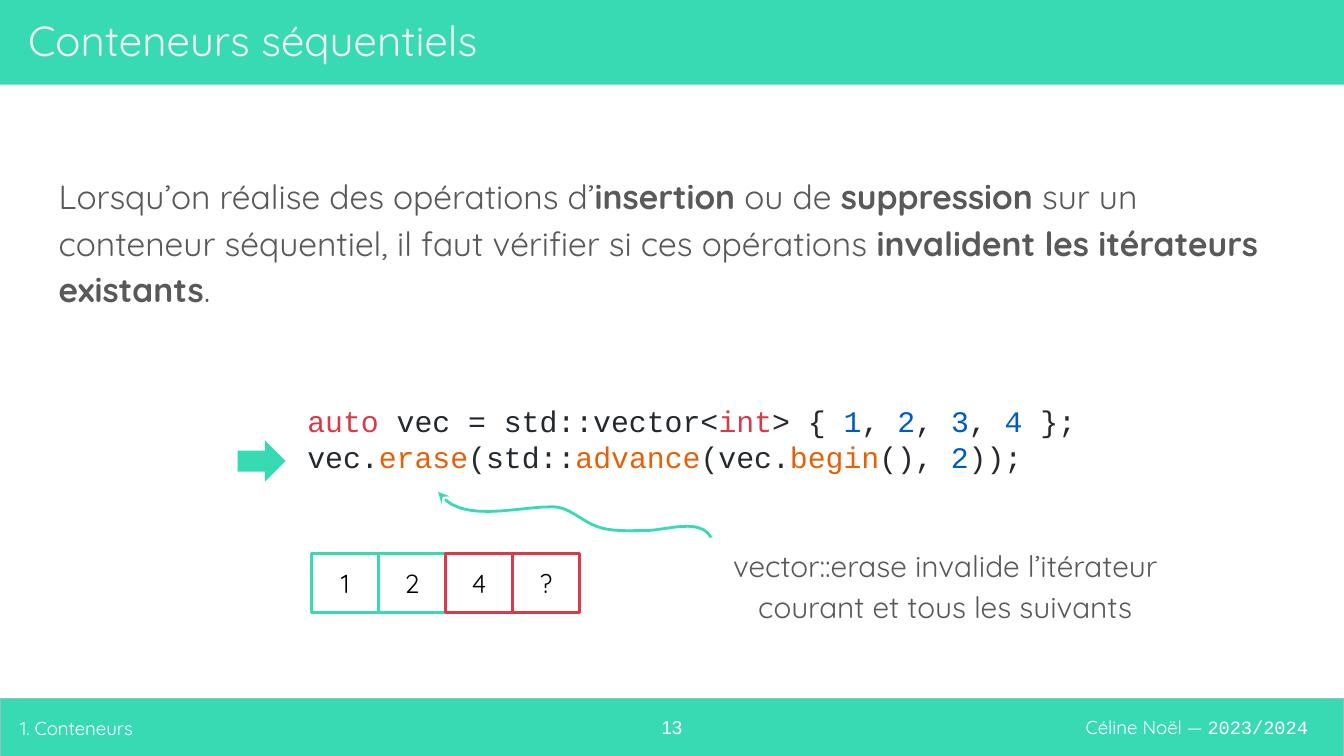
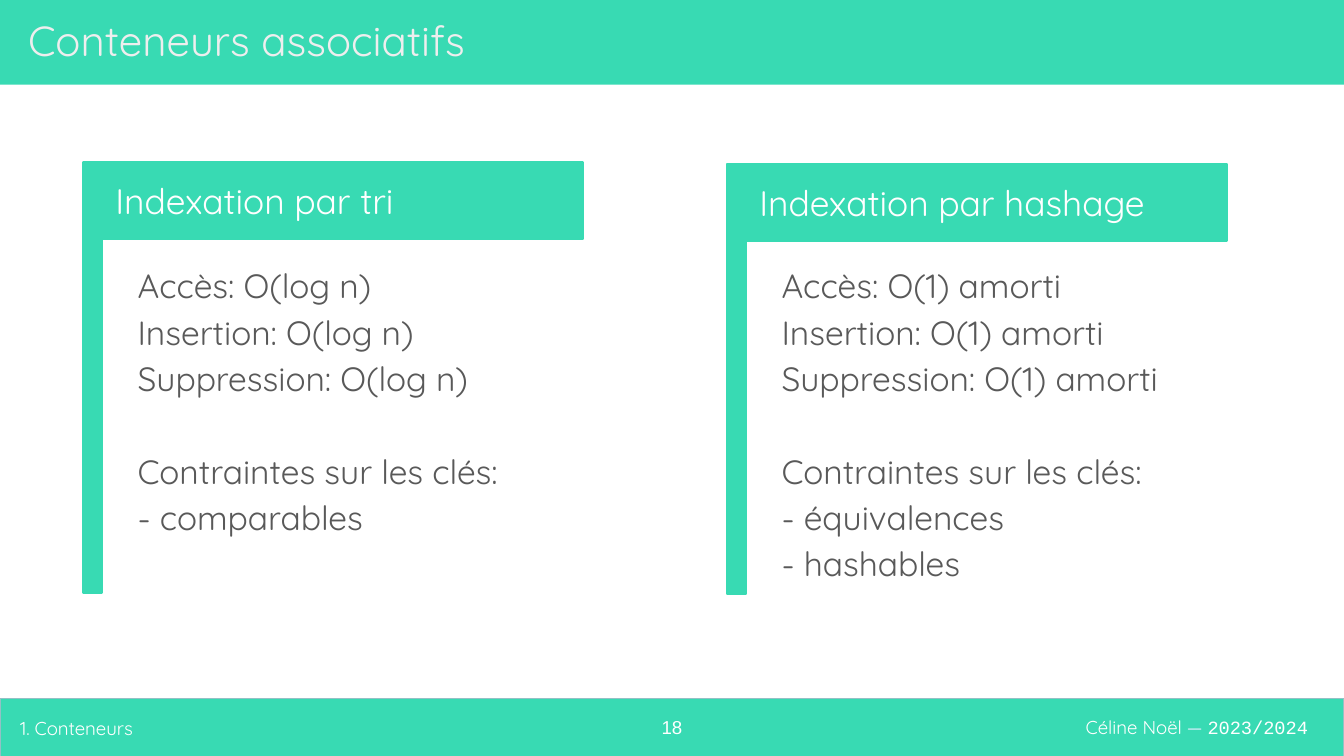
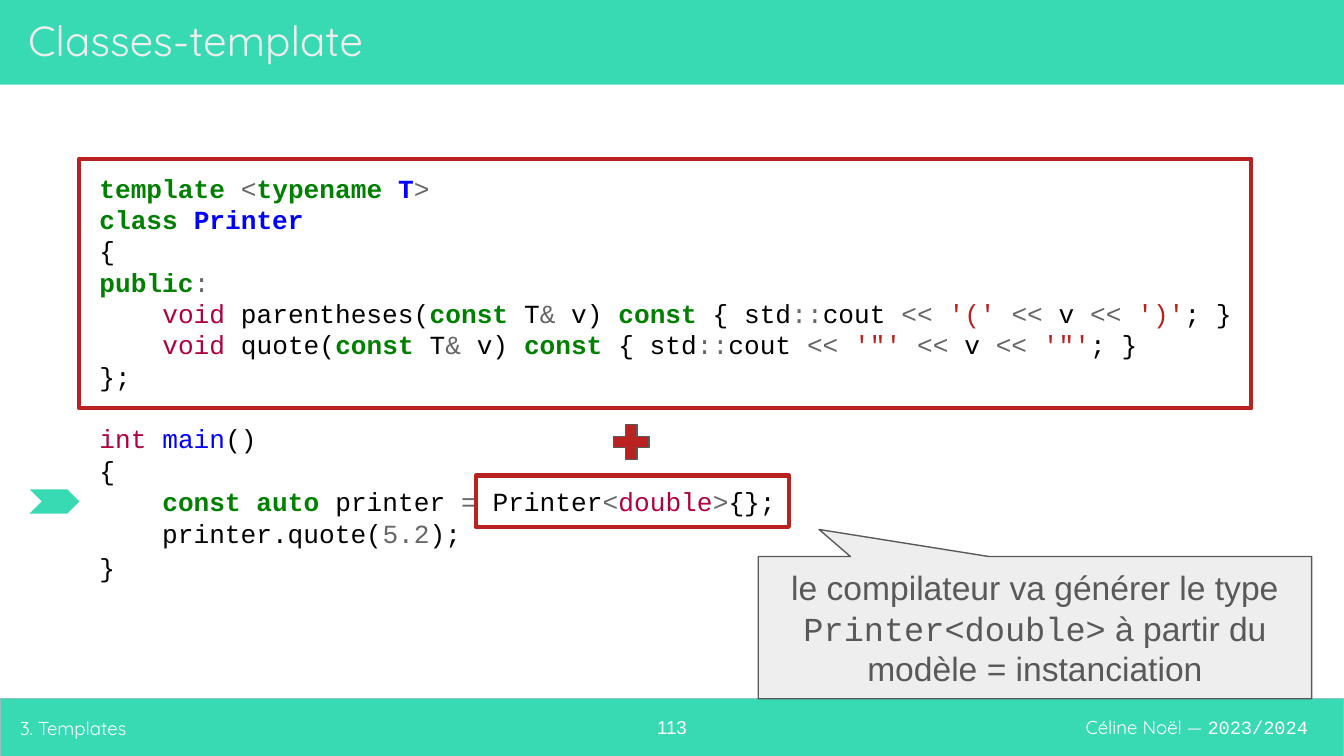
import pptx
import pptx.util
import pptx.dml.color
import pptx.enum.shapes
import pptx.enum.text
import pptx.oxml.ns
from lxml import etree

Cm, Pt = pptx.util.Cm, pptx.util.Pt
RGB = pptx.dml.color.RGBColor.from_string
MSO = pptx.enum.shapes.MSO_SHAPE
ALIGN = pptx.enum.text.PP_ALIGN
ANCHOR = pptx.enum.text.MSO_ANCHOR
qn = pptx.oxml.ns.qn

COLORS = {
    "mint": "38DAB3", "edge": "93C0C5", "white": "FFFFFF", "dash": "E2EEFF",
    "title": "EEEEEE", "text": "595959", "strong": "595959", "black": "000000",
    # code on the first slide
    "code": "24292E", "red": "D73A49", "num": "005CC5", "call": "E36209",
    # code on the last slide
    "keyword": "008000", "class": "0000FF", "func": "0000FF", "op": "666666",
    "type": "B00040", "string": "BA2121",
}
BOLD = {"strong", "keyword", "class"}
SANS, ARIAL, MONO = "Quicksand", "Arial", "Courier New"


def write(tf, paras, size, font=SANS, align=ALIGN.LEFT, anchor=ANCHOR.TOP,
          spacing=1.0, gaps={}):
    """Fill a text frame; a run is (text, colour[, font]), gaps maps paragraph to space before."""
    tf.word_wrap = True
    tf.auto_size = pptx.enum.text.MSO_AUTO_SIZE.NONE
    tf.vertical_anchor = anchor
    tf.margin_left = tf.margin_right = tf.margin_top = tf.margin_bottom = Cm(0.25)
    for i, runs in enumerate(paras):
        p = tf.add_paragraph() if i else tf.paragraphs[0]
        p.alignment = align
        p.line_spacing = spacing
        p.space_before = Pt(gaps.get(i, 0))
        for text, color, *face in runs:
            r = p.add_run()
            r.text = text
            r.font.size = Pt(size)
            r.font.name = face[0] if face else font
            r.font.bold = color in BOLD
            r.font.color.rgb = RGB(COLORS[color])


def shape(s, kind, x, y, w, h, fill=None, line=None, width=1.5):
    sp = s.shapes.add_shape(kind, Cm(x), Cm(y), Cm(w), Cm(h))
    sp.shadow.inherit = False
    if fill:
        sp.fill.solid()
        sp.fill.fore_color.rgb = RGB(COLORS[fill])
    else:
        sp.fill.background()
    if line:
        sp.line.color.rgb = RGB(COLORS[line])
        sp.line.width = Pt(width)
    else:
        sp.line.fill.background()
    return sp


prs = pptx.Presentation()
prs.slide_width, prs.slide_height = Cm(25.4), Cm(14.29)
master = prs.slide_master

# Body text without bullets or indent
lvl = master.element.xpath(".//p:bodyStyle/a:lvl1pPr")[0]
lvl.set("marL", "0")
lvl.set("indent", "0")
lvl.replace(lvl.find(qn("a:buChar")), etree.Element(qn("a:buNone")))

# Titles, section names and page numbers
TWO_CONTENT, TITLE_ONLY = prs.slide_layouts[3], prs.slide_layouts[5]
slides = []
for layout, title, section, number in [
    (TWO_CONTENT, "Conteneurs séquentiels", "1. Conteneurs", "13"),
    (TWO_CONTENT, "Conteneurs associatifs", "1. Conteneurs", "18"),
    (TITLE_ONLY, "Classes-template", "3. Templates", "113"),
]:
    s = prs.slides.add_slide(layout)
    slides.append(s)
    sp = s.shapes.title
    sp.left, sp.top, sp.width, sp.height = Cm(0.28), Cm(0.15), Cm(24.08), Cm(1.22)
    write(sp.text_frame, [[(title, "title")]], 22.5, anchor=ANCHOR.MIDDLE)
    sp = s.shapes.add_textbox(Cm(0.13), Cm(13.21), Cm(11.53), Cm(1.12))
    write(sp.text_frame, [[(section, "white")]], 10, anchor=ANCHOR.MIDDLE)
    sp = s.shapes.add_textbox(Cm(11.94), Cm(13.28), Cm(1.52), Cm(0.91))
    write(sp.text_frame, [[(number, "white")]], 10, ARIAL, ALIGN.CENTER)

# Bands and author, moved to the master
s = slides[0]
footer = shape(s, MSO.RECTANGLE, 0, 13.21, 25.4, 1.12, "mint", "edge", 0.75)
author = s.shapes.add_textbox(Cm(18.24), Cm(13.18), Cm(6.73), Cm(1.12))
write(author.text_frame,
      [[("Céline Noël ", "white"), ("— ", "dash"), ("2023/2024", "white", MONO)]],
      10, align=ALIGN.RIGHT, anchor=ANCHOR.MIDDLE)
header = shape(s, MSO.RECTANGLE, 0, 0, 25.4, 1.6, "mint")
for n, sp in enumerate([footer, author, header], 20):
    sp.element.xpath(".//p:cNvPr")[0].set("id", str(n))
    master.shapes.element.append(sp.element)

# Slide 1: statement and remark
intro, remark = s.placeholders[1], s.placeholders[2]
intro.left, intro.top, intro.width, intro.height = Cm(0.86), Cm(2.97), Cm(23.67), Cm(3.18)
write(intro.text_frame, [[
    ("Lorsqu’on réalise des opérations d’", "text"), ("insertion", "strong"),
    (" ou de ", "text"), ("suppression", "strong"),
    (" sur un conteneur séquentiel, il faut vérifier si ces opérations ", "text"),
    ("invalident les itérateurs existants", "strong"), (".", "text"),
]], 18, spacing=1.15)
remark.left, remark.top, remark.width, remark.height = Cm(12.9), Cm(9.55), Cm(9.93), Cm(2.97)
write(remark.text_frame,
      [[("vector::erase invalide l’itérateur courant et tous les suivants", "text")]],
      16, align=ALIGN.CENTER, anchor=ANCHOR.MIDDLE, spacing=1.15)

# Slide 1: code
sp = s.shapes.add_textbox(Cm(5.56), Cm(7.37), Cm(15.27), Cm(1.88))
write(sp.text_frame, [
    [("auto", "red"), (" vec = std::vector<", "code"), ("int", "red"), ("> { ", "code"),
     ("1", "num"), (", ", "code"), ("2", "num"), (", ", "code"), ("3", "num"),
     (", ", "code"), ("4", "num"), (" };", "code")],
    [("vec.", "code"), ("erase", "call"), ("(std::", "code"), ("advance", "call"),
     ("(vec.", "code"), ("begin", "call"), ("(), ", "code"), ("2", "num"), ("));", "code")],
], 16, MONO, spacing=Pt(19.2))
sp = shape(s, MSO.DOWN_ARROW, 4.55, 8.26, 0.79, 0.91, "mint")
sp.rotation = 270

# Slide 1: vector cells, the invalidated ones in red
for i, (value, color) in enumerate(zip("124?", ["mint", "mint", "red", "red"])):
    sp = shape(s, MSO.RECTANGLE, 5.89 + 1.265 * i, 10.46, 1.27, 1.12, line=color)
    write(sp.text_frame, [[(value, "black")]], 14, align=ALIGN.CENTER, anchor=ANCHOR.MIDDLE)

# Slide 1: curved arrow, sampled from cubic Bézier pieces
knots = [(13.44, 10.16), (13.23, 9.78), (12.6, 10.03), (12.19, 10.03),
         (11.84, 10.03), (11.48, 10.06), (11.18, 9.91),
         (10.92, 9.78), (10.72, 9.58), (10.44, 9.58),
         (9.73, 9.58), (8.69, 9.91), (8.28, 9.3)]
curve = []
for k in range(0, len(knots) - 1, 3):
    for t in [step / 12 for step in range(1, 13)]:
        weights = [(1 - t) ** 3, 3 * t * (1 - t) ** 2, 3 * t ** 2 * (1 - t), t ** 3]
        curve.append([Cm(sum(w * pt[axis] for w, pt in zip(weights, knots[k:k + 4])))
                      for axis in (0, 1)])
fb = s.shapes.build_freeform(Cm(knots[0][0]), Cm(knots[0][1]))
fb.add_line_segments(curve, close=False)
sp = fb.convert_to_shape()
sp.shadow.inherit = False
sp.fill.background()
sp.line.color.rgb = RGB(COLORS["mint"])
sp.line.width = Pt(1.5)
etree.SubElement(sp.element.xpath(".//a:ln")[0], qn("a:tailEnd"), type="stealth")

# Slide 2: two panels
s = slides[1]
for idx, x, y, heading, cost, keys in [
    (1, 1.57, 3.07, "Indexation par tri", "O(log n)", ["comparables"]),
    (2, 13.74, 3.1, "Indexation par hashage", "O(1) amorti", ["équivalences", "hashables"]),
]:
    lines = [f"{name}: {cost}" for name in ("Accès", "Insertion", "Suppression")]
    lines += ["Contraintes sur les clés:"] + [f"- {key}" for key in keys]
    sp = s.placeholders[idx]
    sp.left, sp.top, sp.width, sp.height = Cm(x + 0.78), Cm(4.65), Cm(9.37), Cm(7.09)
    write(sp.text_frame, [[(line, "text")] for line in lines], 18,
          spacing=1.15, gaps={3: 24.8})
    shape(s, MSO.FLOWCHART_PROCESS, x, y, 0.36, 8.13, "mint", "mint")
    sp = shape(s, MSO.FLOWCHART_PROCESS, x + 0.36, y, 9.09, 1.45, "mint", "mint")
    write(sp.text_frame, [[(heading, "white")]], 19, anchor=ANCHOR.MIDDLE)

# Slide 3: code
s = slides[2]
methods = [
    [("    ", "black"), ("void ", "type"), (name + "(", "black"), ("const ", "keyword"),
     ("T", "black"), ("& ", "op"), ("v) ", "black"), ("const ", "keyword"),
     ("{ std", "black"), ("::", "op"), ("cout ", "black"), ("<< ", "op"),
     (before + " ", "string"), ("<< ", "op"), ("v ", "black"), ("<< ", "op"),
     (after, "string"), ("; }", "black")]
    for name, before, after in [("parentheses", "'('", "')'"), ("quote", "'\"'", "'\"'")]
]
code = [
    [("template ", "keyword"), ("<", "op"), ("typename ", "keyword"), ("T", "class"), (">", "op")],
    [("class ", "keyword"), ("Printer", "class")],
    [("{", "black")],
    [("public", "keyword"), (":", "op")],
    *methods,
    [("};", "black")],
    [("int ", "type"), ("main", "func"), ("()", "black")],
    [("{", "black")],
    [("    ", "black"), ("const auto ", "keyword"), ("printer ", "black"), ("= ", "op"),
     ("Printer", "black"), ("<", "op"), ("double", "type"), (">", "op"), ("{};", "black")],
    [("    ", "black"), ("printer.quote(", "black"), ("5.2", "op"), (");", "black")],
    [("}", "black")],
]
sp = s.shapes.add_textbox(Cm(1.63), Cm(3), Cm(22.15), Cm(8.31))
write(sp.text_frame, code, 14, MONO, spacing=Pt(16.8), gaps={7: 16.8, 11: 1.8})

# Slide 3: frames, plus sign, marker and callout
shape(s, MSO.RECTANGLE, 8.99, 8.99, 5.92, 0.97, line="string", width=2.25)
sp = shape(s, MSO.ROUNDED_RECTANGULAR_CALLOUT, 14.33, 10.52, 10.46, 2.69, "title", "text", 0.75)
for i, value in enumerate([-0.39, -0.69, 0]):
    sp.adjustments[i] = value
write(sp.text_frame, [[
    ("le compilateur va générer le type ", "text"), ("Printer<double>", "text", MONO),
    (" à partir du modèle = instanciation", "text"),
]], 18, ARIAL, ALIGN.CENTER, ANCHOR.MIDDLE)
shape(s, MSO.MATH_PLUS, 11.48, 7.9, 0.91, 0.91, "string", "text", 0.75)
shape(s, MSO.RECTANGLE, 1.5, 3, 22.15, 4.72, line="string", width=2.25)
shape(s, MSO.CHEVRON, 0.56, 9.25, 0.94, 0.46, "mint")

prs.save("out.pptx")
